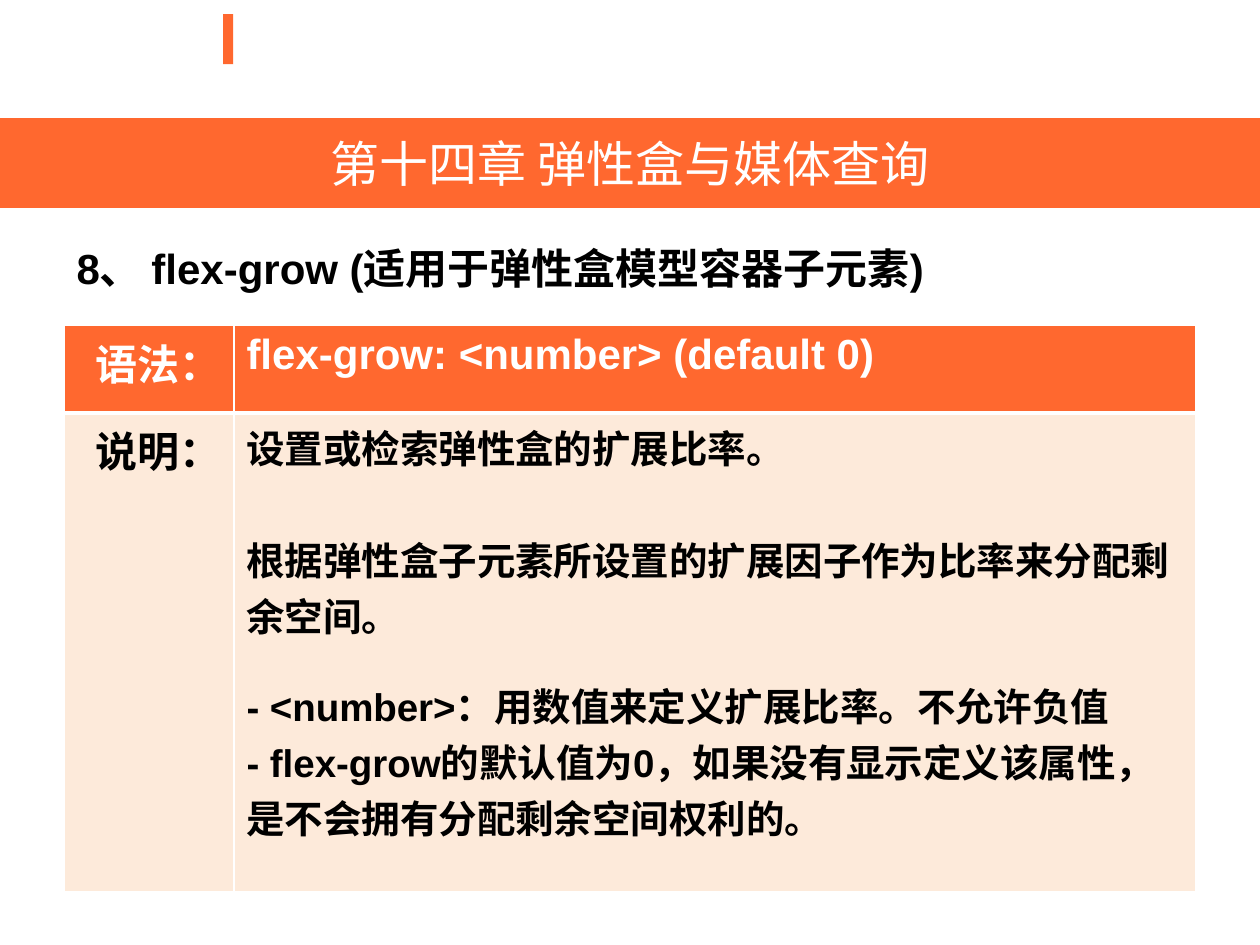
from lxml.etree import SubElement
from pptx import Presentation
from pptx.dml.color import RGBColor
from pptx.enum.shapes import MSO_SHAPE
from pptx.enum.text import MSO_ANCHOR, PP_ALIGN
from pptx.oxml.ns import qn
from pptx.util import Inches, Pt

ORANGE, CREAM, WHITE, BLACK = "FF682F", "FDEADA", "FFFFFF", "000000"


def rgb(color):
    return RGBColor.from_string(color)


class Deck:
    font = "Arial"

    def __init__(self, width, height):
        self.prs = Presentation()
        self.prs.slide_width = Inches(width)
        self.prs.slide_height = Inches(height)
        self.s = self.prs.slides.add_slide(self.prs.slide_layouts[6])

    def area(self, x, y, w, h):
        sw, sh = self.prs.slide_width, self.prs.slide_height
        return int(x * sw), int(y * sh), int(w * sw), int(h * sh)

    def add_text(self, p, text, size, color, bold=True, align=PP_ALIGN.LEFT, before=0):
        p.alignment = align
        p.space_before = Pt(before)
        r = p.add_run()
        r.text = text
        r.font.name, r.font.size, r.font.bold = self.font, Pt(size), bold
        r.font.color.rgb = rgb(color)

    def bar(self, box, fill):
        sp = self.s.shapes.add_shape(MSO_SHAPE.RECTANGLE, *self.area(*box))
        sp.shadow.inherit = False
        sp.fill.solid()
        sp.fill.fore_color.rgb = rgb(fill)
        sp.line.fill.background()
        return sp

    def banner(self, box, fill, text, size):
        tf = self.bar(box, fill).text_frame
        tf.vertical_anchor = MSO_ANCHOR.MIDDLE
        self.add_text(tf.paragraphs[0], text, size, WHITE, False, PP_ALIGN.CENTER)

    def heading(self, box, text, size):
        tf = self.s.shapes.add_textbox(*self.area(*box)).text_frame
        tf.word_wrap = True
        self.add_text(tf.paragraphs[0], text, size, BLACK, before=6)

    def borders(self, cell, bottom):
        tc_pr = cell._tc.get_or_add_tcPr()
        for side, width in (("L", 1), ("R", 1), ("T", 1), ("B", bottom)):
            ln = SubElement(tc_pr, qn(f"a:ln{side}"), w=str(Pt(width)))
            SubElement(SubElement(ln, qn("a:solidFill")), qn("a:srgbClr"), val=WHITE)

    def table(self, box, col_shares, row_shares, rows):
        x, y, w, h = self.area(*box)
        table = self.s.shapes.add_table(len(rows), len(col_shares), x, y, w, h).table
        for col, share in zip(table.columns, col_shares):
            col.width = int(w * share)
        for row, share, (label, lines, fill, color, bottom) in zip(
            table.rows, row_shares, rows
        ):
            row.height = int(h * share)
            for cell in row.cells:
                self.borders(cell, bottom)
                cell.fill.solid()
                cell.fill.fore_color.rgb = rgb(fill)
            head, body = row.cells
            self.add_text(head.text_frame.paragraphs[0], label, 24, color, align=PP_ALIGN.RIGHT)
            tf = body.text_frame
            for i, (text, size, before) in enumerate(lines):
                p = tf.add_paragraph() if i else tf.paragraphs[0]
                self.add_text(p, text, size, color, before=before)


def main():
    deck = Deck(10, 7.5)
    deck.bar((0.177, 0.015, 0.008, 0.053), ORANGE)
    deck.banner((0, 0.125, 1, 0.095), ORANGE, "第十四章 弹性盒与媒体查询", 28)
    deck.heading((0.051, 0.25, 0.9, 0.63), "8、 flex-grow (适用于弹性盒模型容器子元素)", 24)
    syntax = [("flex-grow: <number> (default 0)", 24, 0)]
    notes = [
        ("设置或检索弹性盒的扩展比率。", 22, 0),
        ("根据弹性盒子元素所设置的扩展因子作为比率来分配剩余空间。", 22, 32),
        ("- <number>：用数值来定义扩展比率。不允许负值", 22, 20),
        ("- flex-grow的默认值为0，如果没有显示定义该属性，是不会拥有分配剩余空间权利的。", 22, 0),
    ]
    deck.table(
        (0.051, 0.344, 0.898, 0.6),
        (0.15, 0.85),
        (0.155, 0.845),
        [
            ("语法：", syntax, ORANGE, WHITE, 3),
            ("说明：", notes, CREAM, BLACK, 1),
        ],
    )
    deck.prs.save("out.pptx")


if __name__ == "__main__":
    main()
